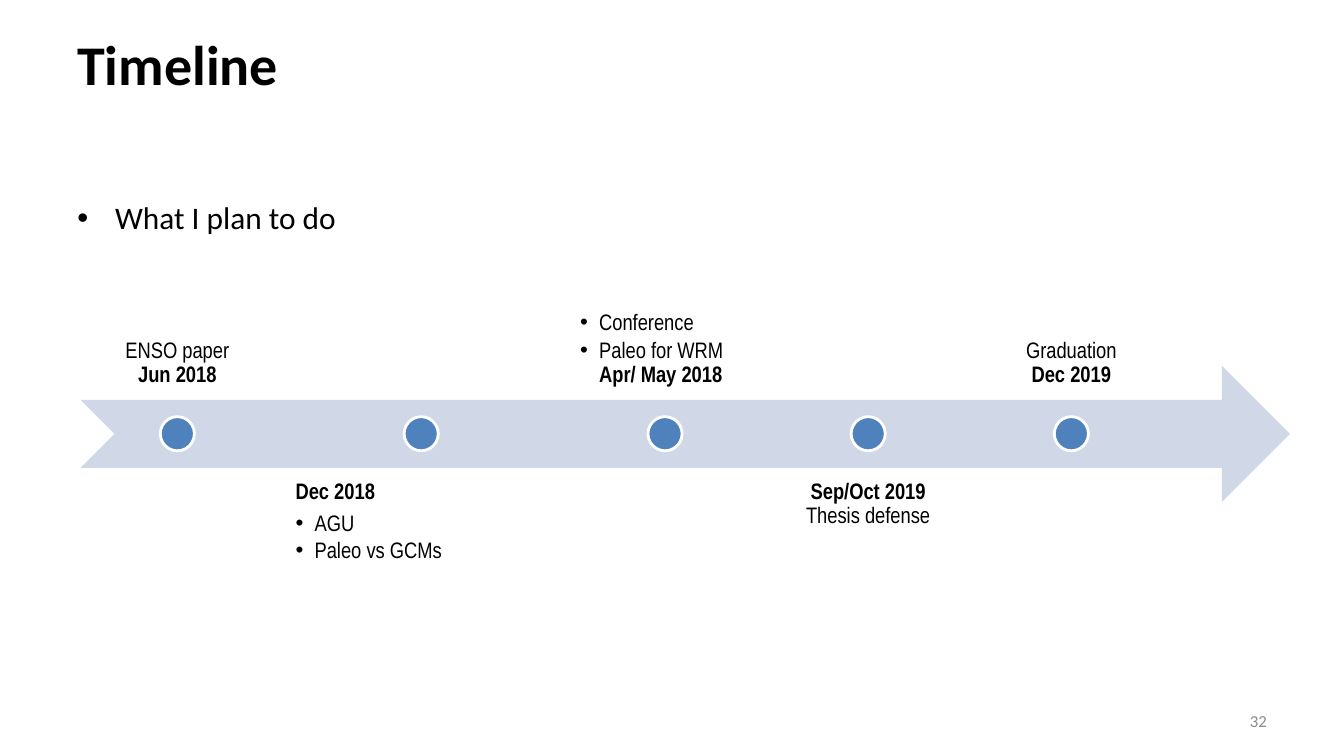
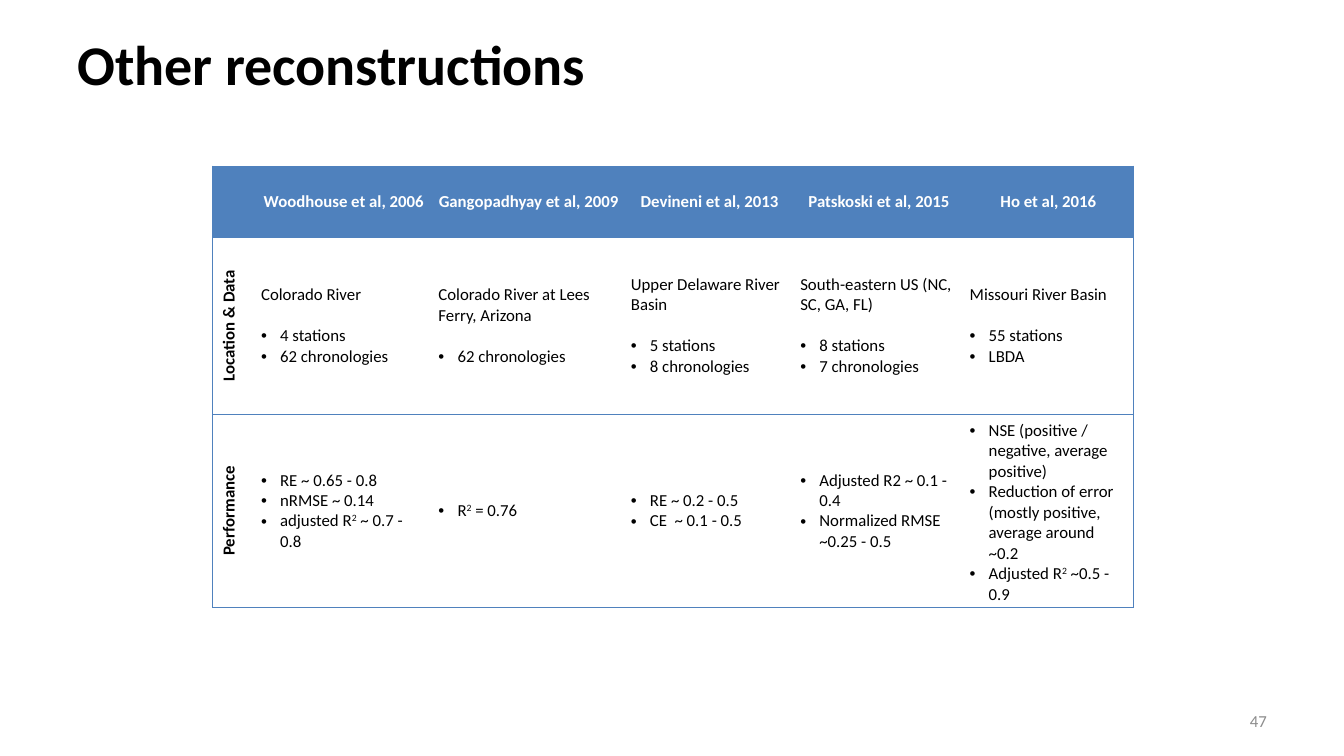
"""Build two slides: a project timeline and a table of other reconstructions."""
from lxml.etree import SubElement
from pptx import Presentation
from pptx.dml.color import RGBColor
from pptx.enum.shapes import MSO_SHAPE as SHAPE
from pptx.enum.text import MSO_ANCHOR as ANCHOR, PP_ALIGN as ALIGN
from pptx.oxml.ns import qn
from pptx.util import Cm, Pt

BLACK = RGBColor(0x00, 0x00, 0x00)
WHITE = RGBColor(0xFF, 0xFF, 0xFF)
GREY = RGBColor(0x8C, 0x8C, 0x8C)
BLUE = RGBColor(0x4F, 0x81, 0xBD)
PALE_BLUE = RGBColor(0xD0, 0xD8, 0xE8)
NO_GRID = "{2D5ABB26-0587-4C30-8999-92F81FD0307C}"


def write(tf, paras, size, font="Calibri", color=BLACK, align=ALIGN.LEFT,
          indent=0.48, spacing=1.0, lead=0, gap=0):
    """Fill tf; • starts a bullet, | splits runs, * is bold, ^ superscript."""
    tf.word_wrap = True
    for i, para in enumerate(paras):
        p = tf.add_paragraph() if i else tf.paragraphs[0]
        if para.startswith("•"):
            pPr = p._p.get_or_add_pPr()
            pPr.set("marL", str(Cm(indent)))
            pPr.set("indent", str(-Cm(indent)))
            SubElement(pPr, qn("a:buFont"), typeface="Arial")
            SubElement(pPr, qn("a:buChar"), char="•")
        p.alignment = align
        p.line_spacing = spacing
        if i:
            p.space_before = Pt(gap if paras[i - 1].startswith("•") else lead)
        for part in para.lstrip("•").split("|"):
            if part.startswith("\n"):
                p.add_line_break()
                SubElement(p._p[-1], qn("a:rPr"), sz=str(int(size * 100)))
            part = part.lstrip("\n")
            r = p.add_run()
            r.text = part.lstrip("*^")
            r.font.size = Pt(size)
            r.font.name = font
            r.font.color.rgb = color
            r.font.bold = part.startswith("*")
            if part.startswith("^"):
                r._r.get_or_add_rPr().set("baseline", "30000")


def add_text(s, x, y, w, h, paras, size, anchor=ANCHOR.TOP, inset=None, **style):
    """Add a text box measured in centimetres."""
    tf = s.shapes.add_textbox(Cm(x), Cm(y), Cm(w), Cm(h)).text_frame
    tf.vertical_anchor = anchor
    if inset:
        tf.margin_left = tf.margin_right = Cm(inset)
        tf.margin_top = tf.margin_bottom = Cm(inset)
    write(tf, paras, size, **style)


prs = Presentation()
prs.slide_width, prs.slide_height = Cm(33.87), Cm(19.05)

slides = []
for title, number in [("Timeline", "32"), ("Other reconstructions", "47")]:
    s = prs.slides.add_slide(prs.slide_layouts[6])
    add_text(s, 1.7, 0, 30.48, 3.18, ["*" + title], 40, ANCHOR.MIDDLE)
    add_text(s, 24.28, 17.65, 7.9, 1.02, [number], 12, ANCHOR.MIDDLE,
             color=GREY, align=ALIGN.RIGHT)
    slides.append(s)
timeline, reconstructions = slides

add_text(timeline, 1.7, 4.88, 30.48, 1.02, ["•What I plan to do"], 22.4, indent=0.95)
arrow = timeline.shapes.add_shape(SHAPE.NOTCHED_RIGHT_ARROW,
                                  Cm(2.03), Cm(9.22), Cm(30.48), Cm(3.43))
arrow.shadow.inherit = False
arrow.fill.solid()
arrow.fill.fore_color.rgb = PALE_BLUE
arrow.line.fill.background()

milestones = [
    (4.88, ALIGN.CENTER, ["ENSO paper|\n*Jun 2018"]),
    (6.93, ALIGN.LEFT, ["*Dec 2018", "•AGU", "•Paleo vs GCMs"]),
    (4.88, ALIGN.LEFT, ["•Conference", "•Paleo for WRM|\n*Apr/ May 2018"]),
    (4.88, ALIGN.CENTER, ["*Sep/Oct 2019|\nThesis defense"]),
    (4.88, ALIGN.CENTER, ["Graduation|\n*Dec 2019"]),
]
DOT = 0.86
x = 2.03
for i, (width, align, paras) in enumerate(milestones):
    y, anchor = (11.79, ANCHOR.TOP) if i % 2 else (6.63, ANCHOR.BOTTOM)
    add_text(timeline, x, y, width, 3.43, paras, 16, anchor, inset=0.3,
             font="Arial Narrow", align=align, spacing=0.9, lead=5.6, gap=2.4)
    dot = timeline.shapes.add_shape(SHAPE.OVAL, Cm(x + (width - DOT) / 2), Cm(10.5),
                                    Cm(DOT), Cm(DOT))
    dot.shadow.inherit = False
    dot.fill.solid()
    dot.fill.fore_color.rgb = BLUE
    dot.line.color.rgb = WHITE
    dot.line.width = Pt(2)
    x += width + 0.24

rows = [
    [[], ["*Woodhouse et al, 2006"], ["*Gangopadhyay et al, 2009"],
     ["*Devineni et al, 2013"], ["*Patskoski et al, 2015"], ["*Ho et al, 2016"]],
    [["*Location & Data"],
     ["Colorado River", "•4 stations", "•62 chronologies"],
     ["Colorado River at Lees Ferry, Arizona", "•62 chronologies"],
     ["Upper Delaware River Basin", "•5 stations", "•8 chronologies"],
     ["South-eastern US (NC, SC, GA, FL)", "•8 stations", "•7 chronologies"],
     ["Missouri River Basin", "•55 stations", "•LBDA"]],
    [["*Performance"],
     ["•RE ~ 0.65 - 0.8", "•nRMSE ~ 0.14", "•adjusted R|^2| ~ 0.7 - 0.8"],
     ["•R|^2| = 0.76"],
     ["•RE ~ 0.2 - 0.5", "•CE  ~ 0.1 - 0.5"],
     ["•Adjusted R2 ~ 0.1 - 0.4", "•Normalized RMSE ~0.25 - 0.5"],
     ["•NSE (positive / negative, average positive)",
      "•Reduction of error (mostly positive, average around ~0.2",
      "•Adjusted R|^2| ~0.5 - 0.9"]],
]
widths = [1.07, 4.47, 4.85, 4.27, 4.27, 4.27]
heights = [1.78, 4.47, 4.85]
table = reconstructions.shapes.add_table(
    len(rows), len(widths), Cm(5.36), Cm(4.19), Cm(sum(widths)), Cm(sum(heights))).table
table.horz_banding = False
table._tbl.tblPr.find(qn("a:tableStyleId")).text = NO_GRID
for column, width in zip(table.columns, widths):
    column.width = Cm(width)
for row, height in zip(table.rows, heights):
    row.height = Cm(height)

for i, row in enumerate(rows):
    for j, paras in enumerate(row):
        cell = table.cell(i, j)
        header, label = i == 0, j == 0
        cell.margin_left = cell.margin_right = Cm(0.15)
        cell.margin_top = cell.margin_bottom = Cm(0.15)
        cell.vertical_anchor = ANCHOR.MIDDLE
        tcPr = cell._tc.get_or_add_tcPr()
        if label and not header:
            tcPr.set("vert", "vert270")
        sides = {"a:lnL": label, "a:lnR": j == len(row) - 1, "a:lnT": True, "a:lnB": True}
        for side, drawn in sides.items():
            if drawn:
                ln = SubElement(tcPr, qn(side), w=str(Pt(1)))
                SubElement(SubElement(ln, qn("a:solidFill")), qn("a:srgbClr"), val=str(BLUE))
        cell.fill.solid()
        cell.fill.fore_color.rgb = BLUE if header else WHITE
        write(cell.text_frame, paras, 12, color=WHITE if header else BLACK,
              align=ALIGN.CENTER if header or label else ALIGN.LEFT, lead=14.6)

prs.save("out.pptx")
